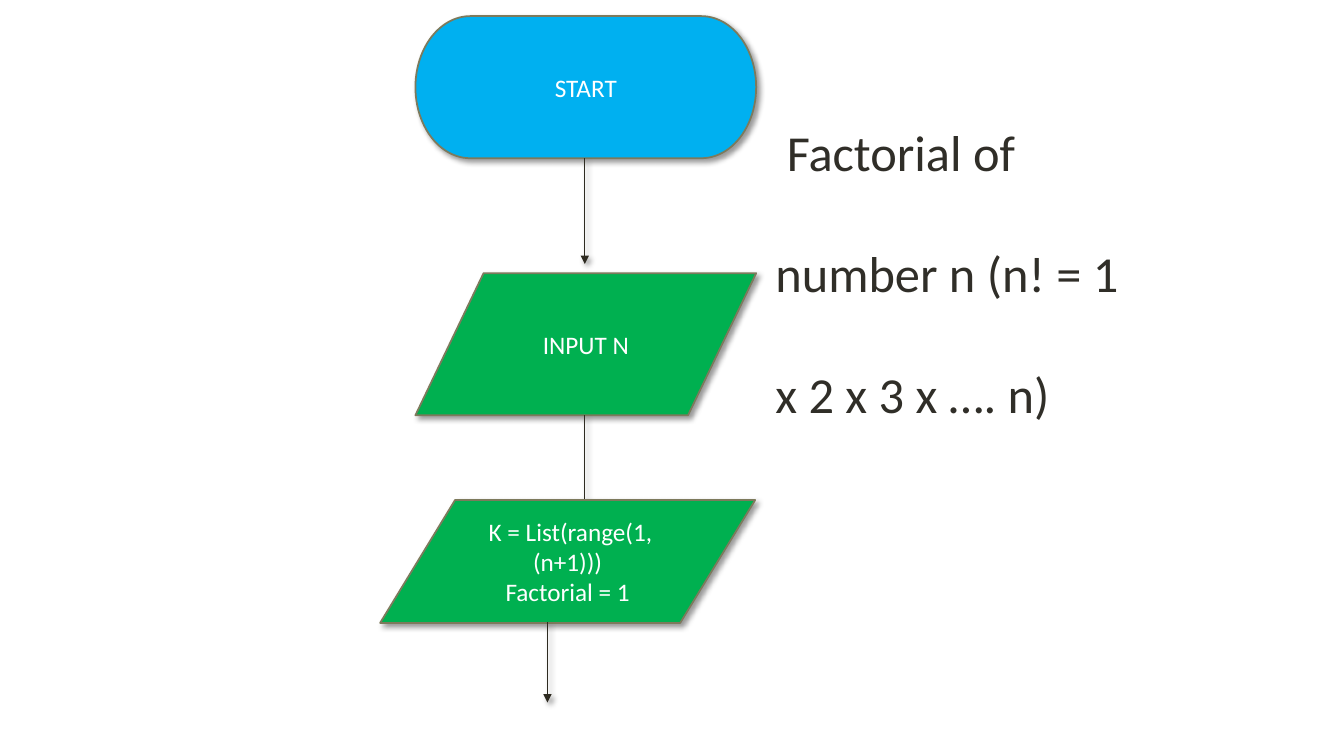
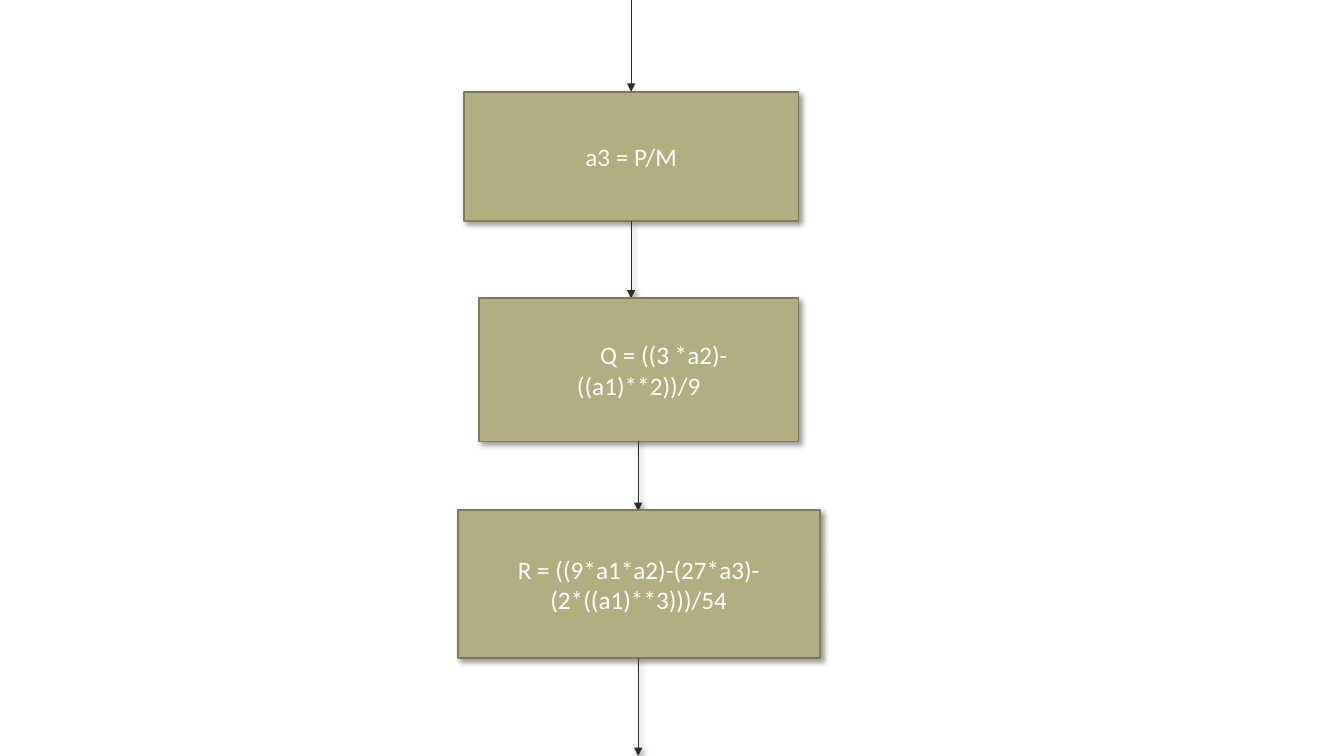
from dataclasses import dataclass

from lxml.etree import SubElement
from pptx import Presentation
from pptx.dml.color import RGBColor
from pptx.enum.shapes import MSO_CONNECTOR, MSO_SHAPE
from pptx.enum.text import MSO_ANCHOR, MSO_AUTO_SIZE, PP_ALIGN
from pptx.oxml.ns import qn
from pptx.slide import Slide
from pptx.text.text import Font
from pptx.util import Inches, Pt

COLOURS = {
    "terminator": "00B0F0",
    "input": "00B050",
    "process": "B2AE7F",
    "outline": "7D7A5C",
    "arrow": "2E2B21",
    "title": "302E28",
    "box text": "FFFFFF",
    "shadow": "000000",
}
FONT = "Calibri"
TITLE_ONLY, BLANK = 5, 6
SHAPES = {
    "terminator": MSO_SHAPE.FLOWCHART_TERMINATOR,
    "input": MSO_SHAPE.FLOWCHART_DATA,
    "process": MSO_SHAPE.RECTANGLE,
}


@dataclass
class Step:
    kind: str
    text: str
    left: float
    top: float
    width: float
    height: float


@dataclass
class Arrow:
    x: float
    top: float
    bottom: float
    shadow: bool = True


FACTORIAL_FLOW = [
    Step("terminator", "START", 4.12, 0.16, 3.38, 1.41),
    Arrow(5.8, 1.57, 2.62),
    Step("input", "INPUT N", 4.12, 2.71, 3.38, 1.41),
    Arrow(5.8, 4.12, 5.04),
    Step("input", " K = List(range(1,(n+1)))\nFactorial = 1", 3.77, 4.96, 3.72, 1.22),
    Arrow(5.43, 6.17, 6.97),
]
CUBIC_FLOW = [
    Arrow(6.26, 0, 0.91, shadow=False),
    Step("process", "a3 = P/M", 4.6, 0.91, 3.32, 1.28),
    Arrow(6.26, 2.19, 2.96),
    Step("process", " \tQ = ((3 *a2)-((a1)**2))/9", 4.75, 2.96, 3.17, 1.42),
    Arrow(6.33, 4.38, 5.07),
    Step("process", "R = ((9*a1*a2)-(27*a3)-(2*((a1)**3)))/54", 4.54, 5.06, 3.59, 1.47),
    Arrow(6.33, 6.53, 7.5),
]


def colour(name: str) -> RGBColor:
    return RGBColor.from_string(COLOURS[name])


def format_font(font: Font, size: float, colour_name: str) -> None:
    font.name = FONT
    font.size = Pt(size)
    font.color.rgb = colour(colour_name)


def set_effects(shape, shadow: bool) -> None:
    """Replace the theme's effects with the soft lower-right shadow, or none."""
    effects = SubElement(shape._element.spPr, qn("a:effectLst"))
    if shadow:
        outer = SubElement(effects, qn("a:outerShdw"), blurRad=str(Pt(4)),
                           dist=str(Pt(3)), dir="2700000", rotWithShape="0")
        tint = SubElement(outer, qn("a:srgbClr"), val=COLOURS["shadow"])
        SubElement(tint, qn("a:alpha"), val="40000")


def add_step(slide: Slide, step: Step) -> None:
    shape = slide.shapes.add_shape(
        SHAPES[step.kind], Inches(step.left), Inches(step.top),
        Inches(step.width), Inches(step.height))
    shape.fill.solid()
    shape.fill.fore_color.rgb = colour(step.kind)
    shape.line.color.rgb = colour("outline")
    shape.line.width = Pt(1.25)
    set_effects(shape, shadow=True)
    text_frame = shape.text_frame
    text_frame.text = step.text
    text_frame.word_wrap = True
    text_frame.vertical_anchor = MSO_ANCHOR.MIDDLE
    for paragraph in text_frame.paragraphs:
        paragraph.alignment = PP_ALIGN.CENTER
        for run in paragraph.runs:
            format_font(run.font, 18, "box text")


def add_arrow(slide: Slide, arrow: Arrow) -> None:
    connector = slide.shapes.add_connector(
        MSO_CONNECTOR.STRAIGHT, Inches(arrow.x), Inches(arrow.top),
        Inches(arrow.x), Inches(arrow.bottom))
    connector.line.color.rgb = colour("arrow")
    connector.line.width = Pt(0.75)
    SubElement(connector.line._get_or_add_ln(), qn("a:tailEnd"), type="triangle")
    set_effects(connector, arrow.shadow)


def add_flow(slide: Slide, flow: list[Step | Arrow]) -> None:
    """Draw the parts in order, so each box covers the tip of the arrow above."""
    for part in flow:
        if isinstance(part, Step):
            add_step(slide, part)
        else:
            add_arrow(slide, part)


def set_title(slide: Slide, text: str) -> None:
    title = slide.shapes.title
    title.left, title.top = Inches(7.59), Inches(0.55)
    title.width, title.height = Inches(3.88), Inches(3.56)
    text_frame = title.text_frame
    text_frame.text = text
    text_frame.word_wrap = True
    text_frame.auto_size = MSO_AUTO_SIZE.NONE
    text_frame.vertical_anchor = MSO_ANCHOR.TOP
    paragraph = text_frame.paragraphs[0]
    paragraph.alignment = PP_ALIGN.LEFT
    paragraph.line_spacing = 2.0
    format_font(paragraph.runs[0].font, 36, "title")


def main() -> None:
    presentation = Presentation()
    presentation.slide_width = Inches(13.33)
    presentation.slide_height = Inches(7.5)
    layouts = presentation.slide_layouts

    factorial_slide = presentation.slides.add_slide(layouts[TITLE_ONLY])
    set_title(factorial_slide, " Factorial of number n (n! = 1 x 2 x 3 x …. n)")
    add_flow(factorial_slide, FACTORIAL_FLOW)

    cubic_slide = presentation.slides.add_slide(layouts[BLANK])
    add_flow(cubic_slide, CUBIC_FLOW)

    presentation.save("out.pptx")


if __name__ == "__main__":
    main()
